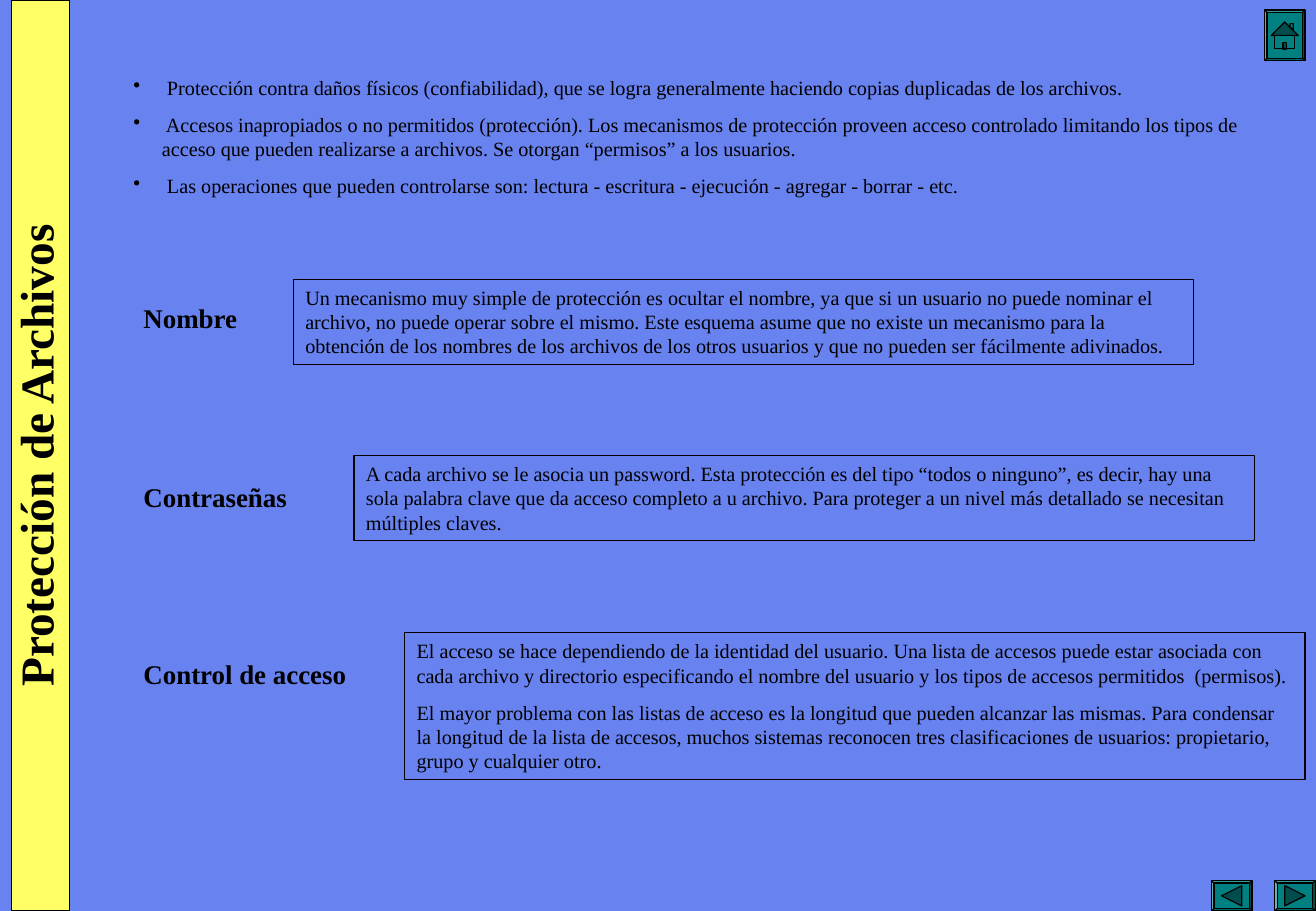
import pptx
import pptx.util
import pptx.dml.color
import pptx.enum.shapes
import pptx.enum.text
import pptx.oxml.ns
from lxml import etree

Pt = pptx.util.Pt
RGBColor = pptx.dml.color.RGBColor
PRESET = pptx.enum.shapes.MSO_SHAPE
ALIGN = pptx.enum.text.PP_ALIGN

BLACK = RGBColor(0x00, 0x00, 0x00)
BLUE = RGBColor(0x68, 0x82, 0xF0)
YELLOW = RGBColor(0xFF, 0xFF, 0x66)
TEAL = RGBColor(0x00, 0x80, 0x80)
DARK_TEAL = RGBColor(0x00, 0x4D, 0x4D)


def write(shape, *paragraphs, size=12, bold=False, align=ALIGN.LEFT,
          line_spacing=None, gap=7.5, bullet=None):
    frame = shape.text_frame
    frame.word_wrap = True
    frame.auto_size = pptx.enum.text.MSO_AUTO_SIZE.SHAPE_TO_FIT_TEXT
    frame.vertical_anchor = pptx.enum.text.MSO_ANCHOR.TOP
    for index, text in enumerate(paragraphs):
        paragraph = frame.add_paragraph() if index else frame.paragraphs[0]
        if index:
            paragraph.space_before = Pt(gap)
        paragraph.alignment = align
        paragraph.line_spacing = line_spacing
        if bullet:
            properties = paragraph._p.get_or_add_pPr()
            properties.set("marL", str(Pt(17)))
            properties.set("indent", str(-Pt(17)))
            mark = etree.SubElement(properties, pptx.oxml.ns.qn("a:buChar"))
            mark.set("char", bullet)
        run = paragraph.add_run()
        run.text = text
        run.font.name = "Times New Roman"
        run.font.size = Pt(size)
        run.font.bold = bold
        run.font.color.rgb = BLACK


def outline(shape, fill=None):
    """Give a shape a thin black line and a flat fill, or none."""
    shape.shadow.inherit = False
    shape.line.color.rgb = BLACK
    shape.line.width = Pt(0.75)
    if fill is None:
        shape.fill.background()
    else:
        shape.fill.solid()
        shape.fill.fore_color.rgb = fill


presentation = pptx.Presentation()
presentation.slide_width = Pt(780.48)
presentation.slide_height = Pt(540)
slide = presentation.slides.add_slide(presentation.slide_layouts[6])
slide.background.fill.solid()
slide.background.fill.fore_color.rgb = BLUE
shapes = slide.shapes

# Vertical title
title = shapes.add_shape(PRESET.RECTANGLE, Pt(-246), Pt(252.7), Pt(540), Pt(34.6))
title.rotation = 270
outline(title, YELLOW)
write(title, "Protección de Archivos", size=28, bold=True,
      align=ALIGN.CENTER, line_spacing=0.8)

# Introduction
introduction = shapes.add_textbox(Pt(72), Pt(41), Pt(684), Pt(80))
write(
    introduction,
    " Protección contra daños físicos (confiabilidad), que se logra generalmente haciendo copias duplicadas de los archivos.",
    " Accesos inapropiados o no permitidos (protección). Los mecanismos de protección proveen acceso controlado limitando los tipos de acceso que pueden realizarse a archivos. Se otorgan “permisos” a los usuarios.",
    " Las operaciones que pueden controlarse son: lectura - escritura - ejecución - agregar - borrar - etc.",
    bullet="•",
)

# Protection mechanisms: name, name top, box left, box top, box height, explanation
mechanisms = [
    ("Nombre", 175, 174, 165.5, 50.5, [
        "Un mecanismo muy simple de protección es ocultar el nombre, ya que si un usuario no puede nominar el archivo, no puede operar sobre el mismo. Este esquema asume que no existe un mecanismo para la obtención de los nombres de los archivos de los otros usuarios y que no pueden ser fácilmente adivinados.",
    ]),
    ("Contraseñas", 281.5, 210, 270, 50.5, [
        "A cada archivo se le asocia un password. Esta protección es del tipo “todos o ninguno”, es decir, hay una sola palabra clave que da acceso completo a u archivo. Para proteger a un nivel más detallado se necesitan múltiples claves.",
    ]),
    ("Control de acceso", 386.5, 240, 375, 87, [
        "El acceso se hace dependiendo de la identidad del usuario. Una lista de accesos puede estar asociada con cada archivo y directorio especificando el nombre del usuario y los tipos de accesos permitidos  (permisos).",
        "El mayor problema con las listas de acceso es la longitud que pueden alcanzar las mismas. Para condensar la longitud de la lista de accesos, muchos sistemas reconocen tres clasificaciones de usuarios: propietario, grupo y cualquier otro.",
    ]),
]
for name, name_top, left, top, height, explanation in mechanisms:
    label = shapes.add_textbox(Pt(78), Pt(name_top), Pt(163.5), Pt(26.5))
    write(label, name, size=16, bold=True)
    box = shapes.add_shape(PRESET.RECTANGLE, Pt(left), Pt(top), Pt(534), Pt(height))
    outline(box)
    write(box, *explanation)

# Navigation buttons: centre, height, icon parts around the centre
chimney = [(3, -5), (3, -7), (5, -7), (5, -3)]
roof = [(0, -8), (8, 0), (-8, 0)]
walls = [(-6, 0), (6, 0), (6, 8), (-6, 8)]
door = [(-1, 4), (1, 4), (1, 8), (-1, 8)]
buttons = [
    (762, 21, 30, [(chimney, TEAL), (roof, DARK_TEAL), (walls, TEAL), (door, DARK_TEAL)]),
    (730.5, 531, 18, [([(6, -6), (-6, 0), (6, 6)], DARK_TEAL)]),
    (768, 531, 18, [([(-6, -6), (6, 0), (-6, 6)], DARK_TEAL)]),
]
button_width = 24
for x, y, height, icon in buttons:
    button = shapes.add_shape(PRESET.BEVEL, Pt(x - button_width / 2), Pt(y - height / 2),
                              Pt(button_width), Pt(height))
    button.adjustments[0] = 1.5 / min(button_width, height)
    outline(button, TEAL)
    for points, colour in icon:
        corners = [(Pt(x + dx), Pt(y + dy)) for dx, dy in points]
        builder = shapes.build_freeform(*corners[0])
        builder.add_line_segments(corners[1:], close=True)
        outline(builder.convert_to_shape(), colour)

presentation.save("out.pptx")
